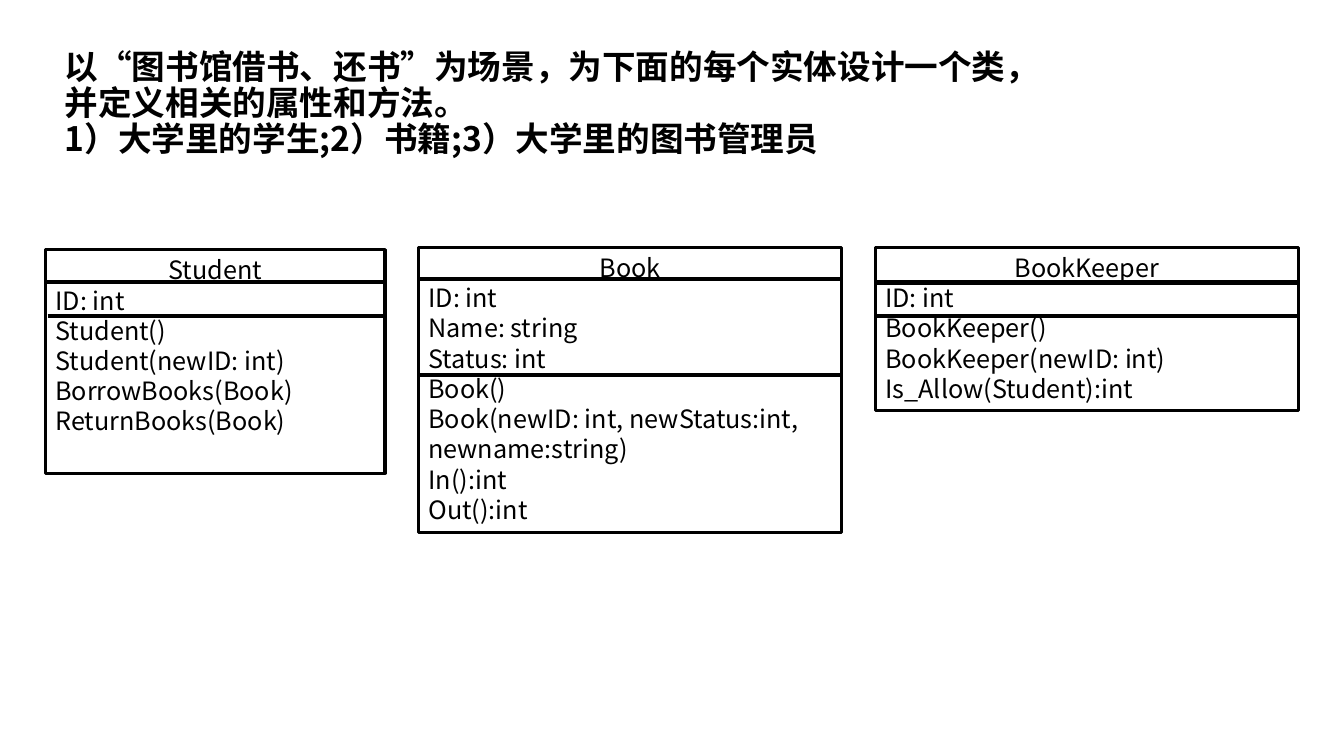
from dataclasses import dataclass

from lxml.etree import SubElement
from pptx import Presentation
from pptx.dml.color import RGBColor
from pptx.enum.shapes import MSO_CONNECTOR, MSO_SHAPE
from pptx.enum.text import MSO_ANCHOR, MSO_AUTO_SIZE, PP_ALIGN
from pptx.oxml.ns import qn
from pptx.util import Pt


@dataclass(frozen=True)
class Theme:
    ink: RGBColor = RGBColor(0, 0, 0)
    font: str = "Noto Sans CJK SC"
    title_size: float = 24
    body_size: float = 18
    outline: float = 2.25
    divider: float = 3


@dataclass(frozen=True)
class Divider:
    """A rule across a class box, measured from the box's top left corner."""
    drop: float
    shift: float = 0


@dataclass(frozen=True)
class ClassBox:
    """A class diagram box; lengths in points."""
    name: str
    members: tuple[str, ...]
    left: float
    top: float
    width: float
    height: float
    dividers: tuple[Divider, Divider]


THEME = Theme()

TITLE_LINES = (
    "以“图书馆借书、还书”为场景，为下面的每个实体设计一个类，并定义相关的属性和方法。",
    "1）大学里的学生;2）书籍;3）大学里的图书管理员",
)

CLASS_BOXES = (
    ClassBox("Student",
             ("ID: int", "Student()", "Student(newID: int)",
              "BorrowBooks(Book)", "ReturnBooks(Book)"),
             32.5, 178.3, 242.6, 159.8, (Divider(23.2), Divider(47.7, 1.5))),
    ClassBox("Book",
             ("ID: int", "Name: string", "Status: int", "Book()",
              "Book(newID: int, newStatus:int, newname:string)",
              "In():int", "Out():int"),
             298.9, 176.6, 302.4, 203.6, (Divider(22.8), Divider(91))),
    ClassBox("BookKeeper",
             ("ID: int", "BookKeeper()", "BookKeeper(newID: int)",
              "Is_Allow(Student):int"),
             625.3, 176.6, 302.4, 116.5, (Divider(25.2), Divider(49))),
)


def add_span(para, text: str, size: float, bold: bool = False) -> None:
    span = para.add_run()
    span.text = text
    span.font.name = THEME.font
    span.font.size = Pt(size)
    span.font.bold = bold
    span.font.color.rgb = THEME.ink
    # East Asian characters take their own typeface setting
    latin = span.font._element.find(qn("a:latin"))
    east_asian = latin.makeelement(qn("a:ea"), {"typeface": THEME.font})
    latin.addnext(east_asian)


def add_title(page) -> None:
    title = page.shapes.title
    title.left, title.top = Pt(39), Pt(32.4)
    title.width, title.height = Pt(720), Pt(113.8)
    frame = title.text_frame
    frame.word_wrap = True
    frame.auto_size = MSO_AUTO_SIZE.NONE
    frame.vertical_anchor = MSO_ANCHOR.BOTTOM
    frame.margin_bottom = Pt(32.5)
    para = frame.paragraphs[0]
    para.alignment = PP_ALIGN.LEFT
    para.line_spacing = 0.9
    for index, line in enumerate(TITLE_LINES):
        if index:
            para.add_line_break()
        add_span(para, line, THEME.title_size, bold=True)


def add_divider(page, left: float, top: float, width: float) -> None:
    line = page.shapes.add_connector(
        MSO_CONNECTOR.STRAIGHT, Pt(left), Pt(top), Pt(left + width), Pt(top))
    line.line.color.rgb = THEME.ink
    line.line.width = Pt(THEME.divider)
    SubElement(line._element.spPr, qn("a:effectLst"))


def add_class_box(page, entity: ClassBox) -> None:
    box = page.shapes.add_shape(
        MSO_SHAPE.RECTANGLE, Pt(entity.left), Pt(entity.top),
        Pt(entity.width), Pt(entity.height))
    box.shadow.inherit = False
    box.fill.background()
    box.line.color.rgb = THEME.ink
    box.line.width = Pt(THEME.outline)

    # Class name centred, members below it
    frame = box.text_frame
    frame.word_wrap = True
    frame.vertical_anchor = MSO_ANCHOR.TOP
    for index, text in enumerate((entity.name, *entity.members)):
        para = frame.add_paragraph() if index else frame.paragraphs[0]
        para.alignment = PP_ALIGN.LEFT if index else PP_ALIGN.CENTER
        add_span(para, text, THEME.body_size)

    for divider in entity.dividers:
        add_divider(page, entity.left + divider.shift,
                    entity.top + divider.drop, entity.width)


def build() -> None:
    deck = Presentation()
    deck.slide_width, deck.slide_height = Pt(960), Pt(540)
    title_only = deck.slide_layouts[5]
    page = deck.slides.add_slide(title_only)
    add_title(page)
    for entity in CLASS_BOXES:
        add_class_box(page, entity)
    deck.save("out.pptx")


build()
